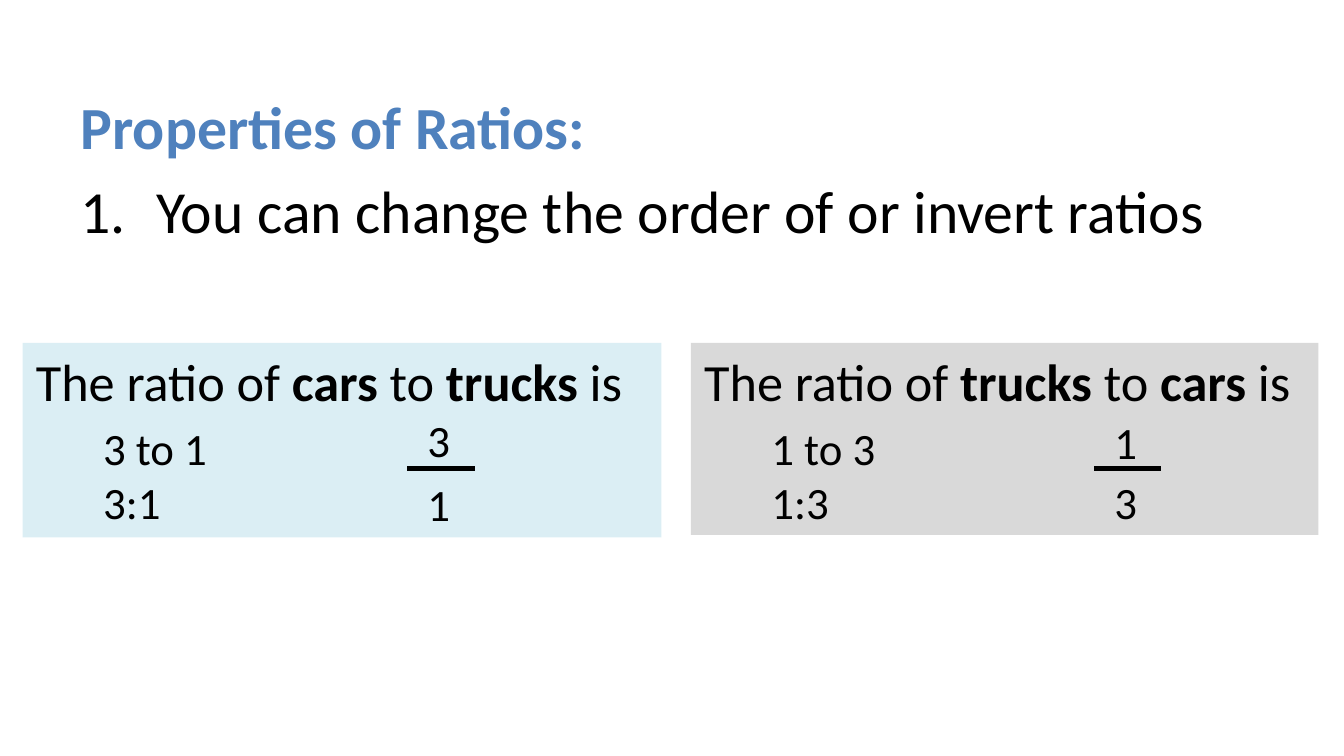
"""Build a slide showing that the order of a ratio can be inverted."""
from lxml import etree
from pptx import Presentation
from pptx.dml.color import RGBColor
from pptx.enum import shapes, text
from pptx.oxml import ns
from pptx.util import Cm, Pt

COLORS = {"heading": "4F81BD", "ink": "000000", "cars": "DBEEF4", "trucks": "D9D9D9"}


def add_run(p, content, size, bold=False, color="ink"):
    r = p.add_run()
    r.text = content
    for name, value in {"name": "Calibri", "size": Pt(size), "bold": bold}.items():
        setattr(r.font, name, value)
    r.font.color.rgb = RGBColor.from_string(COLORS[color])


def set_list_format(p, indent, tag, **attrs):
    pPr = p._p.get_or_add_pPr()
    pPr.set("marL", str(indent))
    pPr.set("indent", str(-indent))
    etree.SubElement(pPr, ns.qn(tag), attrs)


def add_properties(s):
    title = s.shapes.title
    title._element.getparent().remove(title._element)
    body = s.placeholders[1]
    box = {"left": Cm(1.27), "top": Cm(1.57), "width": Cm(22.86), "height": Cm(4.42)}
    for name, value in box.items():
        setattr(body, name, value)
    tf = body.text_frame
    tf.auto_size = text.MSO_AUTO_SIZE.NONE
    p = tf.paragraphs[0]
    set_list_format(p, 0, "a:buNone")
    p.space_before = Pt(0)
    add_run(p, "Properties of Ratios:", 32, True, "heading")
    p = tf.add_paragraph()
    set_list_format(p, Cm(1.43), "a:buAutoNum", type="arabicPeriod")
    p.space_before = Pt(6.4)
    add_run(p, "You can change the order of or invert ratios", 32)


def add_panel(s, left, width, height, first, second, ratio, fill):
    sp = s.shapes.add_shape(shapes.MSO_SHAPE.RECTANGLE, Cm(left), Cm(6.48), Cm(width), Cm(height))
    sp.shadow.inherit = False
    sp.fill.solid()
    sp.fill.fore_color.rgb = RGBColor.from_string(COLORS[fill])
    sp.line.fill.background()
    tf = sp.text_frame
    tf.word_wrap = True
    tf.vertical_anchor = text.MSO_ANCHOR.TOP
    p = tf.paragraphs[0]
    p.alignment = text.PP_ALIGN.LEFT
    for i, part in enumerate(["The ratio of ", first, " to ", second, " is"]):
        add_run(p, part, 28, bold=i % 2 == 1)
    p = tf.add_paragraph()
    p.alignment = text.PP_ALIGN.LEFT
    p.space_before = Pt(4.8)
    add_run(p, "\t{} to {}".format(*ratio), 24)
    p.add_line_break()
    add_run(p, "\t{}:{}".format(*ratio), 24)


def add_number(s, left, top, number):
    sp = s.shapes.add_textbox(Cm(left), Cm(top), Cm(0.94), Cm(1.27))
    tf = sp.text_frame
    tf.word_wrap = False
    tf.auto_size = text.MSO_AUTO_SIZE.SHAPE_TO_FIT_TEXT
    add_run(tf.paragraphs[0], str(number), 24)


def add_fraction(s, left, tops, ratio):
    for top, number in zip(tops, ratio):
        add_number(s, left + 0.13, top, number)
    y = Cm(8.86)
    bar = s.shapes.add_connector(shapes.MSO_CONNECTOR.STRAIGHT, Cm(left), y, Cm(left + 1.27), y)
    bar.line.width = Pt(2.5)
    bar.line.color.rgb = RGBColor.from_string(COLORS["ink"])
    etree.SubElement(bar._element.spPr, ns.qn("a:effectLst"))


def main():
    prs = Presentation()
    prs.slide_width, prs.slide_height = Cm(25.4), Cm(14.29)
    s = prs.slides.add_slide(prs.slide_layouts[1])
    add_panel(s, 0.43, 12.07, 3.68, "cars", "trucks", (3, 1), "cars")
    add_panel(s, 13.06, 11.86, 3.63, "trucks", "cars", (1, 3), "trucks")
    add_properties(s)
    add_fraction(s, 7.7, (7.67, 8.89), (3, 1))
    add_fraction(s, 20.68, (7.72, 8.84), (1, 3))
    prs.save("out.pptx")


if __name__ == "__main__":
    main()
